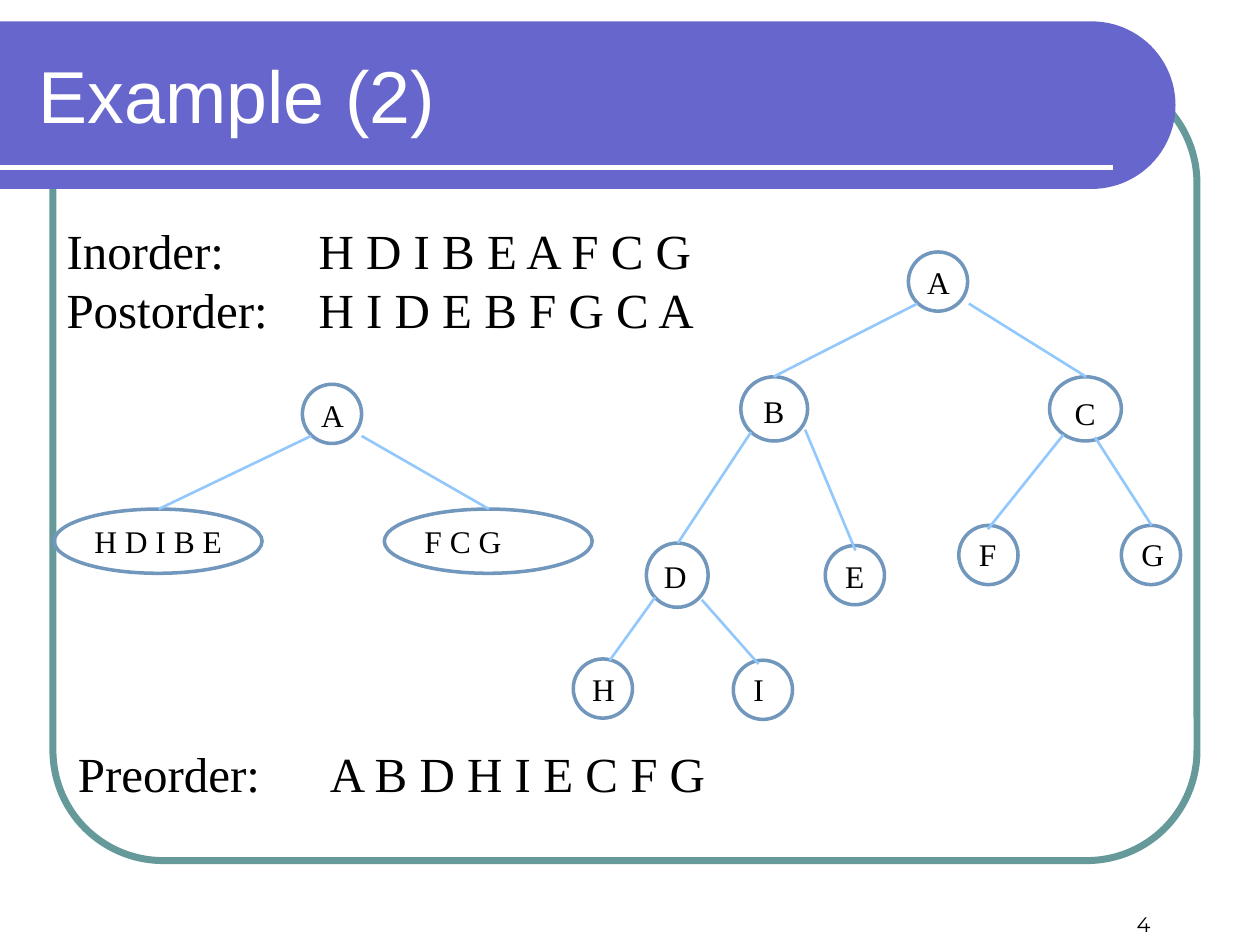
from math import cos, pi, sin
from typing import NamedTuple

from lxml.etree import SubElement
from pptx import Presentation
from pptx.dml.color import RGBColor
from pptx.enum.shapes import MSO_CONNECTOR as Wire, MSO_SHAPE as Form
from pptx.enum.text import MSO_ANCHOR as Anchor, MSO_AUTO_SIZE as Fit, PP_ALIGN as Align
from pptx.oxml.ns import qn
from pptx.util import Inches, Pt

SERIF = "Times New Roman"
BLACK, WHITE = "000000", "FFFFFF"
RING, EDGE = "7197BD", "93C8FC"
TAB = Inches(2)


class Node(NamedTuple):
    text: str
    x: float
    y: float
    w: float
    h: float
    left: float
    top: float
    wide: float


class Edge(NamedTuple):
    x1: float
    y1: float
    x2: float
    y2: float


class Label(NamedTuple):
    lines: list[str]
    x: float
    y: float
    w: float
    h: float
    size: float = 28
    font: str = SERIF
    color: str = BLACK
    anchor: Anchor = Anchor.TOP
    align: Align = Align.LEFT
    wrap: bool = False


DOT = 0.47

NODES = [
    Node("A", 7.21, 2, DOT, DOT, 7.26, 2.04, 0.38),
    Node("B", 5.88, 2.99, 0.53, 0.51, 5.96, 3.06, 0.37),
    Node("C", 8.33, 2.99, 0.57, 0.51, 8.43, 3.08, 0.37),
    Node("D", 5.13, 4.31, 0.49, 0.51, 5.17, 4.37, 0.45),
    Node("E", 6.55, 4.33, DOT, DOT, 6.61, 4.37, 0.36),
    Node("H", 4.55, 5.23, DOT, DOT, 4.6, 5.27, 0.38),
    Node("I", 5.82, 5.24, DOT, DOT, 5.88, 5.27, 0.29),
    Node("F", 7.61, 4.17, DOT, DOT, 7.67, 4.2, 0.34),
    Node("G", 8.9, 4.17, DOT, DOT, 8.96, 4.2, 0.38),
    Node("A", 2.4, 3.05, DOT, DOT, 2.45, 3.09, 0.38),
    Node("H D I B E", 0.43, 4.04, 1.65, 0.51, 0.65, 4.09, 1.23),
    Node("F C G", 3.05, 4.04, 1.65, 0.51, 3.27, 4.09, 0.82),
]

EDGES = [
    Edge(7.69, 2.41, 8.62, 2.99),
    Edge(7.28, 2.41, 6.14, 2.99),
    Edge(5.96, 3.43, 5.38, 4.31),
    Edge(6.39, 3.41, 6.79, 4.37),
    Edge(5.57, 4.76, 6.02, 5.27),
    Edge(5.2, 4.74, 4.84, 5.24),
    Edge(8.69, 3.47, 9.14, 4.17),
    Edge(8.44, 3.45, 7.84, 4.2),
    Edge(2.87, 3.46, 3.88, 4.04),
    Edge(2.47, 3.46, 1.26, 4.04),
]

LABELS = [
    Label(["Example (2)"], 0.21, 0.25, 8.77, 1, 42, "Arial", WHITE, Anchor.MIDDLE, wrap=True),
    Label(["4"], 7.15, 6.98, 2.08, 0.5, 12, "Montserrat",
          anchor=Anchor.BOTTOM, align=Align.RIGHT, wrap=True),
    Label(["Inorder:\tH D I B E A F C G", "Postorder: \tH I D E B F G C A"],
          0.43, 1.7, 5.23, 1.04),
    Label(["Preorder:\tA B D H I E C F G"], 0.52, 5.85, 5.23, 0.57),
]


def tint(code: str) -> RGBColor:
    return RGBColor.from_string(code)


def outline(shapes, form: Form, x: float, y: float, w: float, h: float,
            color: str, width: float):
    shape = shapes.add_shape(form, Inches(x), Inches(y), Inches(w), Inches(h))
    shape.shadow.inherit = False
    shape.fill.background()
    shape.line.color.rgb = tint(color)
    shape.line.width = Pt(width)
    return shape


def draw_line(shapes, edge: Edge, color: str, width: float) -> None:
    line = shapes.add_connector(Wire.STRAIGHT, *(Inches(v) for v in edge))
    line.line.color.rgb = tint(color)
    line.line.width = Pt(width)
    SubElement(line._element.spPr, qn("a:effectLst"))


def set_tab(para) -> None:
    props = para._p.get_or_add_pPr()
    stops = props.makeelement(qn("a:tabLst"), {})
    SubElement(stops, qn("a:tab"), pos=str(TAB), algn="l")
    props.insert(0, stops)


def draw_label(shapes, label: Label) -> None:
    box = shapes.add_textbox(Inches(label.x), Inches(label.y), Inches(label.w), Inches(label.h))
    frame = box.text_frame
    frame.word_wrap = label.wrap
    frame.auto_size = Fit.NONE if label.wrap else Fit.SHAPE_TO_FIT_TEXT
    frame.vertical_anchor = label.anchor
    frame.text = "\n".join(label.lines)
    for para, line in zip(frame.paragraphs, label.lines):
        para.alignment = label.align
        para.font.size = Pt(label.size)
        para.font.name = label.font
        para.font.color.rgb = tint(label.color)
        if "\t" in line:
            set_tab(para)


def draw_node(shapes, node: Node) -> None:
    outline(shapes, Form.OVAL, node.x, node.y, node.w, node.h, RING, 2)
    draw_label(shapes, Label([node.text], node.left, node.top, node.wide, 0.4, 18))


def draw_banner(shapes, top: float, base: float, right: float, color: str) -> None:
    r = (base - top) / 2
    steps = 48
    turns = [pi * i / steps - pi / 2 for i in range(steps + 1)]
    arc = [(Inches(right - r + r * cos(t)), Inches(top + r + r * sin(t))) for t in turns]
    pen = shapes.build_freeform(0, Inches(top))
    pen.add_line_segments([*arc, (0, Inches(base))], close=True)
    banner = pen.convert_to_shape()
    banner.shadow.inherit = False
    banner.fill.solid()
    banner.fill.fore_color.rgb = tint(color)
    banner.line.fill.background()


def main() -> None:
    deck = Presentation()
    deck.slide_width, deck.slide_height = Inches(10), Inches(7.5)
    shapes = deck.slides.add_slide(deck.slide_layouts[6]).shapes
    border = outline(shapes, Form.ROUNDED_RECTANGLE, 0.42, 0.58, 9.08, 6.25, "669999", 4)
    border.adjustments[0] = 0.14
    draw_banner(shapes, 0.17, 1.5, 9.33, "6666CC")
    draw_line(shapes, Edge(0, 1.33, 8.83, 1.33), WHITE, 3)
    for label in LABELS:
        draw_label(shapes, label)
    for node in NODES:
        draw_node(shapes, node)
    for edge in EDGES:
        draw_line(shapes, edge, EDGE, 1.5)
    deck.save("out.pptx")


if __name__ == "__main__":
    main()
